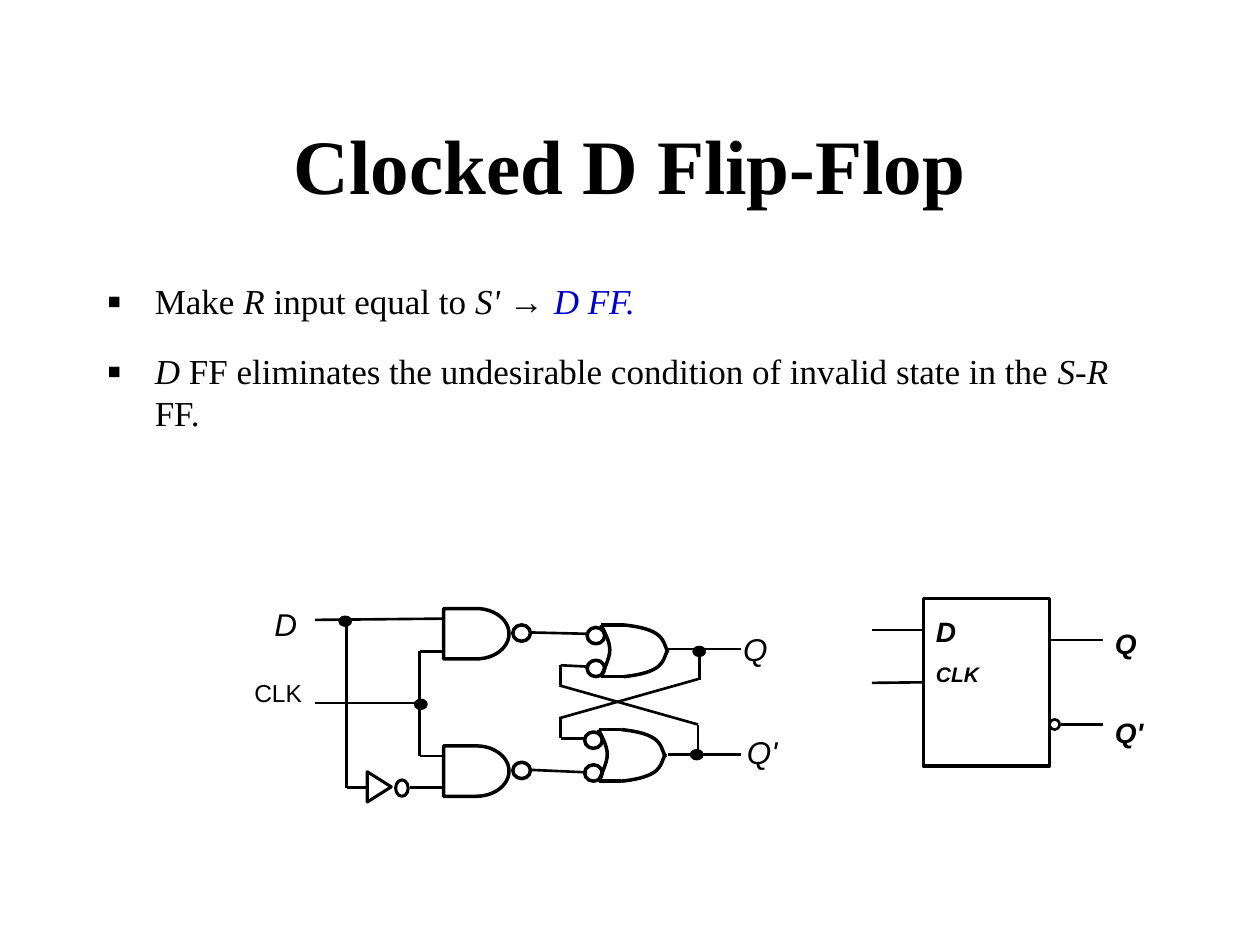
import pptx
import pptx.dml.color
import pptx.enum.shapes
import pptx.enum.text
import pptx.oxml
import pptx.oxml.ns
import pptx.util

PX = 9144
COLOURS = {"ink": "000000", "accent": "0000CC"}
SHAPES = pptx.enum.shapes.MSO_SHAPE
ALIGN = pptx.enum.text.PP_ALIGN
SERIF = "Times New Roman"
SANS = "Arial"
TITLE = {"name": SERIF, "size": 44, "bold": True}
BODY = {"name": SERIF, "size": 20}
BODY_ITALIC = {**BODY, "italic": True}
ARROW = {**BODY, "name": SANS}
SIGNAL = {"name": SANS, "size": 18, "italic": True}
CLOCK = {"name": SANS, "size": 14}
PIN = {"name": SANS, "size": 16, "bold": True, "italic": True}
SMALL_PIN = {**PIN, "size": 12}
NAMESPACE = pptx.oxml.ns.nsdecls("a")


def emu(*lengths):
    return [round(length * PX) for length in lengths]


def colour(name):
    return pptx.dml.color.RGBColor.from_string(COLOURS[name])


def set_line(item, width):
    item.line.color.rgb = colour("ink")
    item.line.width = pptx.util.Pt(width)


def add_span(para, text, style, ink="ink"):
    span = para.add_run()
    span.text = text
    for key, value in style.items():
        setattr(span.font, key, pptx.util.Pt(value) if key == "size" else value)
    span.font.color.rgb = colour(ink)


def add_text(shapes, place, paragraphs, **frame_format):
    box = shapes.add_textbox(*emu(*place))
    frame = box.text_frame
    for key, value in {"word_wrap": True, **frame_format}.items():
        setattr(frame, key, value)
    for index, (before, spans) in enumerate(paragraphs):
        para = frame.paragraphs[0] if index == 0 else frame.add_paragraph()
        para.space_before = pptx.util.Pt(before)
        for span in spans:
            add_span(para, *span)
    return box


def add_bullet(para):
    properties = para._p.get_or_add_pPr()
    indent = emu(38)[0]
    properties.set("marL", str(indent))
    properties.set("indent", str(-indent))
    for xml in (
        f'<a:buClr {NAMESPACE}><a:srgbClr val="{COLOURS["ink"]}"/></a:buClr>',
        f'<a:buSzPct {NAMESPACE} val="120000"/>',
        f'<a:buFont {NAMESPACE} typeface="{SANS}"/>',
        f'<a:buChar {NAMESPACE} char="▪"/>',
    ):
        properties.append(pptx.oxml.parse_xml(xml))


def add_wire(shapes, start_x, start_y, end_x, end_y, width=1.5):
    wire = shapes.add_connector(
        pptx.enum.shapes.MSO_CONNECTOR.STRAIGHT, *emu(start_x, start_y, end_x, end_y)
    )
    set_line(wire, width)
    wire._element.spPr.append(pptx.oxml.parse_xml(f"<a:effectLst {NAMESPACE}/>"))
    return wire


def add_outline(shapes, kind, place, width=2, rotation=0):
    shape = shapes.add_shape(kind, *emu(*place))
    shape.shadow.inherit = False
    shape.fill.background()
    shape.rotation = rotation
    set_line(shape, width)
    return shape


def add_junction(shapes, left, top):
    dot = add_outline(shapes, SHAPES.OVAL, (left, top, 10, 8), 0.75)
    dot.fill.solid()
    dot.fill.fore_color.rgb = colour("ink")


def bend_segments(curve):
    segments = list(curve._element.iter(pptx.oxml.ns.qn("a:lnTo")))
    for index in range(0, len(segments), 3):
        bend = pptx.oxml.parse_xml(f"<a:cubicBezTo {NAMESPACE}/>")
        segments[index].addprevious(bend)
        for segment in segments[index : index + 3]:
            bend.append(segment[0])
            segment.getparent().remove(segment)


def add_curve(shapes, left, top, points):
    start, *others = [emu(left + x, top + y) for x, y in points]
    builder = shapes.build_freeform(*start, scale=1.0)
    builder.add_line_segments(others, close=False)
    curve = builder.convert_to_shape()
    bend_segments(curve)
    curve.shadow.inherit = False
    curve.fill.background()
    set_line(curve, 2)


def add_bubble(shapes, left, top):
    add_outline(shapes, SHAPES.OVAL, (left, top, 14, 13))


def add_or_gate(shapes, left, top):
    height = 41
    back = [(0, 0), (3, 6), (7, 13), (7, 20), (7, 27), (1, 38), (0, height)]
    upper = [(18, 0), (28, 1), (38, 3), (44, 7), (50, 11), (51, 17), (53, 22)]
    lower = [(x, height - y) for x, y in upper]
    for points in (back, upper, lower):
        add_curve(shapes, left, top, points)
    for edge in (top, top + height):
        add_wire(shapes, left, edge, left + 18, edge, 2)
    for offset in (2, 28):
        add_bubble(shapes, left - 11, top + offset)


def add_nand_gate(shapes, left, top):
    add_outline(shapes, SHAPES.FLOWCHART_DELAY, (left, top, 52, 40))
    add_bubble(shapes, left + 55, top + 13)


def add_label(shapes, place, paragraphs):
    add_text(shapes, place, paragraphs,
             auto_size=pptx.enum.text.MSO_AUTO_SIZE.SHAPE_TO_FIT_TEXT)


def add_block_symbol(shapes):
    block = add_outline(shapes, SHAPES.RECTANGLE, (733, 475, 100, 133))
    for wire in ((692, 500, 733, 500), (833, 508, 875, 508), (842, 575, 875, 575)):
        add_wire(shapes, *wire)
    add_wire(shapes, 692, 542, 733, 542).end_connect(block, 1)
    add_outline(shapes, SHAPES.OVAL, (833, 571, 8, 8), 1.5)
    add_label(shapes, (733, 483, 58, 67),
              [(10, [("D", PIN)]), (7.5, [("CLK", SMALL_PIN)])])
    add_label(shapes, (875, 492, 50, 107),
              [(6, [("Q", PIN)]), (32, [("Q'", PIN)])])


def add_circuit(shapes):
    inputs = [
        (250, 492, 351, 491), (250, 558, 333, 558), (275, 492, 275, 625),
        (275, 625, 292, 625), (325, 625, 352, 625), (333, 517, 333, 600),
        (333, 517, 352, 517), (333, 600, 352, 600),
    ]
    latch = [
        (422, 502, 465, 503), (421, 611, 466, 613), (445, 528, 465, 529),
        (445, 586, 465, 586), (445, 528, 445, 544), (445, 569, 445, 586),
        (530, 515, 588, 515), (530, 599, 588, 599), (554, 575, 554, 600),
        (555, 515, 555, 540), (444, 544, 554, 575), (554, 539, 444, 570),
    ]
    for wire in inputs + latch:
        add_wire(shapes, *wire)
    for left, top in ((548, 595), (550, 513), (329, 555), (269, 489)):
        add_junction(shapes, left, top)
    for left, top in ((477, 496), (475, 579)):
        add_or_gate(shapes, left, top)
    for top in (483, 592):
        add_nand_gate(shapes, 352, top)
    add_outline(shapes, SHAPES.FLOWCHART_EXTRACT, (289, 615, 24, 19), 1.75, 90)
    add_outline(shapes, SHAPES.OVAL, (314, 619, 10, 13), 1.75)
    for text, place in (("D", (208, 475, 48, 40)), ("Q", (580, 495, 46, 40)),
                        ("Q'", (583, 577, 46, 40))):
        add_label(shapes, place, [(11.2, [(text, SIGNAL)])])
    add_label(shapes, (192, 533, 60, 34), [(8.8, [("CLK", CLOCK)])])


def main():
    deck = pptx.Presentation()
    deck.slide_width, deck.slide_height = emu(1000, 750)
    page = deck.slides.add_slide(deck.slide_layouts[6])
    title = add_text(page.shapes, (75, 67, 850, 125),
                     [(0, [("Clocked D Flip-Flop", TITLE)])],
                     vertical_anchor=pptx.enum.text.MSO_ANCHOR.MIDDLE)
    title.text_frame.paragraphs[0].alignment = ALIGN.CENTER
    body = add_text(page.shapes, (75, 217, 842, 137), [
        (16, [("Make ", BODY), ("R", BODY_ITALIC), (" input equal to ", BODY),
              ("S' ", BODY_ITALIC), ("→ ", ARROW), ("D FF.", BODY_ITALIC, "accent")]),
        (16, [("D", BODY_ITALIC),
              (" FF eliminates the undesirable condition of invalid state in the ", BODY),
              ("S-R", BODY_ITALIC), (" FF.", BODY)]),
    ])
    for para in body.text_frame.paragraphs:
        add_bullet(para)
    for add_drawing in (add_block_symbol, add_circuit):
        add_drawing(page.shapes.add_group_shape().shapes)
    deck.save("out.pptx")


if __name__ == "__main__":
    main()
